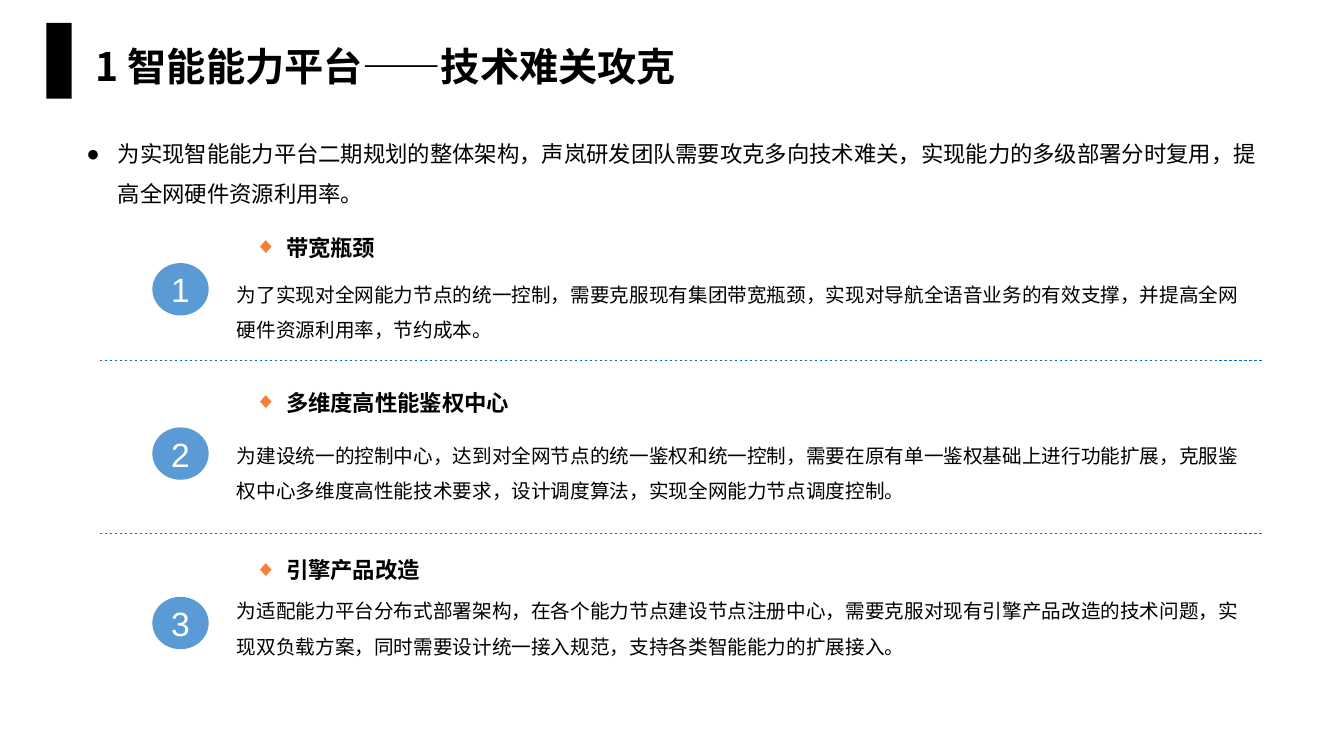
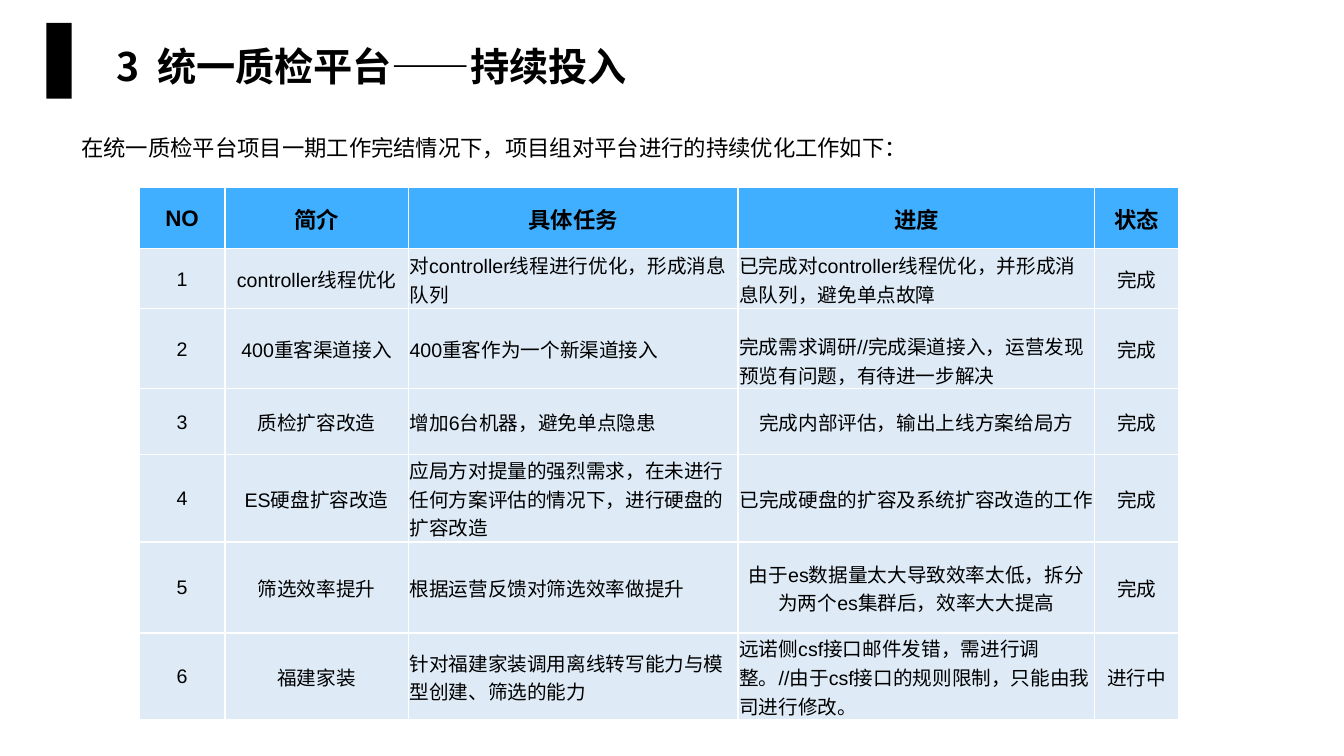
import pptx
import pptx.util
import pptx.dml.color
import pptx.enum.dml
import pptx.enum.lang
import pptx.enum.shapes
import pptx.enum.text
import pptx.oxml
import pptx.oxml.ns
import lxml.etree

Cm = pptx.util.Cm
Pt = pptx.util.Pt
qn = pptx.oxml.ns.qn
Align = pptx.enum.text.PP_ALIGN
Anchor = pptx.enum.text.MSO_ANCHOR
Shape = pptx.enum.shapes.MSO_SHAPE

COLORS = {
    "ink": "000000",
    "paper": "FFFFFF",
    "badge": "5B9BD5",
    "diamond": "F97E39",
    "divider": "0070C0",
    "header": "40AFFF",
    "cell": "DEEBF7",
}
LATIN = "Arial"
HAN = "Noto Sans CJK SC"

CHALLENGES = [
    ("带宽瓶颈", 3.76, 5.56, 6.71, 6.63,
     "为了实现对全网能力节点的统一控制，需要克服现有集团带宽瓶颈，实现对导航全语音业务的有效支撑，并提高全网硬件资源利用率，节约成本。"),
    ("多维度高性能鉴权中心", 7.01, 9.47, 10.77, 10.77,
     "为建设统一的控制中心，达到对全网节点的统一鉴权和统一控制，需要在原有单一鉴权基础上进行功能扩展，克服鉴权中心多维度高性能技术要求，设计调度算法，实现全网能力节点调度控制。"),
    ("引擎产品改造", 4.93, 13.69, 14.68, 15.04,
     "为适配能力平台分布式部署架构，在各个能力节点建设节点注册中心，需要克服对现有引擎产品改造的技术问题，实现双负载方案，同时需要设计统一接入规范，支持各类智能能力的扩展接入。"),
]
DIVIDER_TOPS = [9.09, 13.45]

COLUMN_WIDTHS = [2.16, 4.62, 8.31, 8.99, 2.11]
ROW_HEIGHTS = [1.55, 1.5, 2.03, 1.65, 2.21, 2.29, 2.03]
TASKS = [
    ("NO", "简介", "具体任务", "进度", "状态"),
    ("1", "controller线程优化", "对controller线程进行优化，形成消息队列",
     "已完成对controller线程优化，并形成消息队列，避免单点故障", "完成"),
    ("2", "400重客渠道接入", "400重客作为一个新渠道接入",
     "完成需求调研//完成渠道接入，运营发现预览有问题，有待进一步解决", "完成"),
    ("3", "质检扩容改造", "增加6台机器，避免单点隐患",
     "完成内部评估，输出上线方案给局方", "完成"),
    ("4", "ES硬盘扩容改造", "应局方对提量的强烈需求，在未进行任何方案评估的情况下，进行硬盘的扩容改造",
     "已完成硬盘的扩容及系统扩容改造的工作", "完成"),
    ("5", "筛选效率提升", "根据运营反馈对筛选效率做提升",
     "由于es数据量太大导致效率太低，拆分为两个es集群后，效率大大提高", "完成"),
    ("6", "福建家装", "针对福建家装调用离线转写能力与模型创建、筛选的能力",
     "远诺侧csf接口邮件发错，需进行调整。//由于csf接口的规则限制，只能由我司进行修改。", "进行中"),
]
LEFT_CELLS = {(row, 2) for row in range(1, 7)} | {(1, 3), (2, 3), (6, 3)}
CELL_ANCHORS = {(2, 3): Anchor.BOTTOM, (6, 3): Anchor.TOP}


def rgb(color):
    """Return the named palette colour."""
    return pptx.dml.color.RGBColor.from_string(COLORS[color])


def add_run(paragraph, text, size, color="ink", bold=False, font=HAN):
    """Add one formatted run with a Latin and an East Asian font."""
    run = paragraph.add_run()
    run.text = text
    run.font.size = Pt(size)
    run.font.bold = bold
    run.font.name = font
    run.font.color.rgb = rgb(color)
    run.font.language_id = pptx.enum.lang.MSO_LANGUAGE_ID.SIMPLIFIED_CHINESE
    properties = run.font._element
    east_asian = lxml.etree.Element(qn("a:ea"), typeface=HAN)
    properties.find(qn("a:latin")).addnext(east_asian)
    return run


def add_bullet(paragraph, symbol, color):
    """Give a paragraph a hanging bullet."""
    properties = paragraph._p.get_or_add_pPr()
    properties.set("marL", str(Cm(0.79)))
    properties.set("indent", str(-Cm(0.79)))
    bullet_color = lxml.etree.SubElement(properties, qn("a:buClr"))
    lxml.etree.SubElement(bullet_color, qn("a:srgbClr"), val=COLORS[color])
    lxml.etree.SubElement(properties, qn("a:buFont"), typeface=LATIN)
    lxml.etree.SubElement(properties, qn("a:buChar"), char=symbol)


def add_text(slide, left, top, width, height, text, size, spacing=1.0,
             bold=False, font=HAN, wrap=True):
    """Add a one-paragraph text box and return the paragraph."""
    box = slide.shapes.add_textbox(Cm(left), Cm(top), Cm(width), Cm(height))
    box.text_frame.word_wrap = wrap
    paragraph = box.text_frame.paragraphs[0]
    paragraph.line_spacing = spacing
    add_run(paragraph, text, size, bold=bold, font=font)
    return paragraph


def add_solid(slide, outline, left, top, width, height, color):
    """Add a filled preset shape without line or shadow."""
    solid = slide.shapes.add_shape(outline, Cm(left), Cm(top), Cm(width), Cm(height))
    solid.shadow.inherit = False
    solid.fill.solid()
    solid.fill.fore_color.rgb = rgb(color)
    solid.line.fill.background()
    return solid


def add_badge(slide, top, number):
    """Add a numbered circle."""
    badge = add_solid(slide, Shape.OVAL, 3.84, top, 1.42, 1.32, "badge")
    badge.text_frame.vertical_anchor = Anchor.MIDDLE
    paragraph = badge.text_frame.paragraphs[0]
    paragraph.alignment = Align.CENTER
    add_run(paragraph, str(number), 24, "paper", font=LATIN)


def add_divider(slide, top):
    """Add a dashed horizontal rule."""
    divider = slide.shapes.add_connector(
        pptx.enum.shapes.MSO_CONNECTOR.STRAIGHT, Cm(2.51), Cm(top), Cm(31.8), Cm(top))
    divider.line.color.rgb = rgb("divider")
    divider.line.width = Pt(0.5)
    divider.line.dash_style = pptx.enum.dml.MSO_LINE.DASH
    lxml.etree.SubElement(divider._element.spPr, qn("a:effectLst"))


def add_titled_slide(deck, number, heading, left, width, number_tracking=0):
    """Add a slide with the shared black bar and title style."""
    slide = deck.slides.add_slide(deck.slide_layouts[5])
    add_solid(slide, Shape.RECTANGLE, 1.17, 0.58, 0.64, 1.91, "ink")
    title = slide.shapes.title
    title.left, title.top = Cm(left), Cm(0.65)
    title.width, title.height = Cm(width), Cm(2.16)
    frame = title.text_frame
    frame.auto_size = pptx.enum.text.MSO_AUTO_SIZE.NONE
    frame.vertical_anchor = Anchor.MIDDLE
    paragraph = frame.paragraphs[0]
    paragraph.alignment = Align.LEFT
    paragraph.line_spacing = 0.9
    number_run = add_run(paragraph, f"{number} ", 28, bold=True)
    number_run.font._element.set("spc", str(number_tracking))
    add_run(paragraph, heading, 28, bold=True)
    return slide


def add_borders(cell):
    """Draw white lines on all four sides of a cell."""
    properties = cell._tc.get_or_add_tcPr()
    for position, side in enumerate(("a:lnL", "a:lnR", "a:lnT", "a:lnB")):
        border = lxml.etree.Element(qn(side), w=str(Pt(1)))
        fill = lxml.etree.SubElement(border, qn("a:solidFill"))
        lxml.etree.SubElement(fill, qn("a:srgbClr"), val=COLORS["paper"])
        properties.insert(position, border)


def fill_cell(cell, row, column, text):
    """Write and style one cell of the task table."""
    is_header = row == 0
    cell.margin_left = cell.margin_right = cell.margin_top = Cm(0.03)
    cell.margin_bottom = 0
    cell.vertical_anchor = CELL_ANCHORS.get((row, column), Anchor.MIDDLE)
    cell.fill.solid()
    cell.fill.fore_color.rgb = rgb("header" if is_header else "cell")
    add_borders(cell)
    paragraph = cell.text_frame.paragraphs[0]
    paragraph.alignment = Align.LEFT if (row, column) in LEFT_CELLS else Align.CENTER
    add_run(paragraph, text, 16 if is_header else 14, bold=is_header, font=LATIN)


def add_task_table(slide):
    """Add the table of tasks and their status."""
    table = slide.shapes.add_table(
        len(TASKS), len(COLUMN_WIDTHS), Cm(3.51), Cm(4.72),
        Cm(sum(COLUMN_WIDTHS)), Cm(sum(ROW_HEIGHTS))).table
    for column, width in zip(table.columns, COLUMN_WIDTHS):
        column.width = Cm(width)
    for row, (height, task) in enumerate(zip(ROW_HEIGHTS, TASKS)):
        table.rows[row].height = Cm(height)
        for column, text in enumerate(task):
            fill_cell(table.cell(row, column), row, column, text)


def build_challenges(deck):
    """Build the slide on technical challenges."""
    slide = add_titled_slide(deck, 1, "智能能力平台——技术难关攻克", 2.16, 28.75)
    summary = add_text(
        slide, 1.93, 3.07, 30.43, 2.31,
        "为实现智能能力平台二期规划的整体架构，声岚研发团队需要攻克多向技术难关，"
        "实现能力的多级部署分时复用，提高全网硬件资源利用率。", 16, 1.5, font=LATIN)
    add_bullet(summary, "●", "ink")
    for number, challenge in enumerate(CHALLENGES, 1):
        name, width, name_top, detail_top, badge_top, detail = challenge
        heading = add_text(slide, 6.17, name_top, width, 1.14, name, 16, 1.3, bold=True)
        heading.space_before = Pt(6)
        add_bullet(heading, "◆", "diamond")
        add_text(slide, 5.72, detail_top, 26.09, 2.06, detail, 14, 1.5)
        add_badge(slide, badge_top, number)
    for top in DIVIDER_TOPS:
        add_divider(slide, top)


def build_progress(deck):
    """Build the slide on continued work."""
    slide = add_titled_slide(deck, 3, "统一质检平台——持续投入", 2.67, 26.09, 325)
    add_task_table(slide)
    add_text(slide, 1.8, 3.25, 21.59, 0.94,
             "在统一质检平台项目一期工作完结情况下，项目组对平台进行的持续优化工作如下：",
             16, wrap=False)


def main():
    """Build and save the deck."""
    deck = pptx.Presentation()
    deck.slide_width, deck.slide_height = Cm(33.87), Cm(19.05)
    build_challenges(deck)
    build_progress(deck)
    deck.save("out.pptx")


if __name__ == "__main__":
    main()
